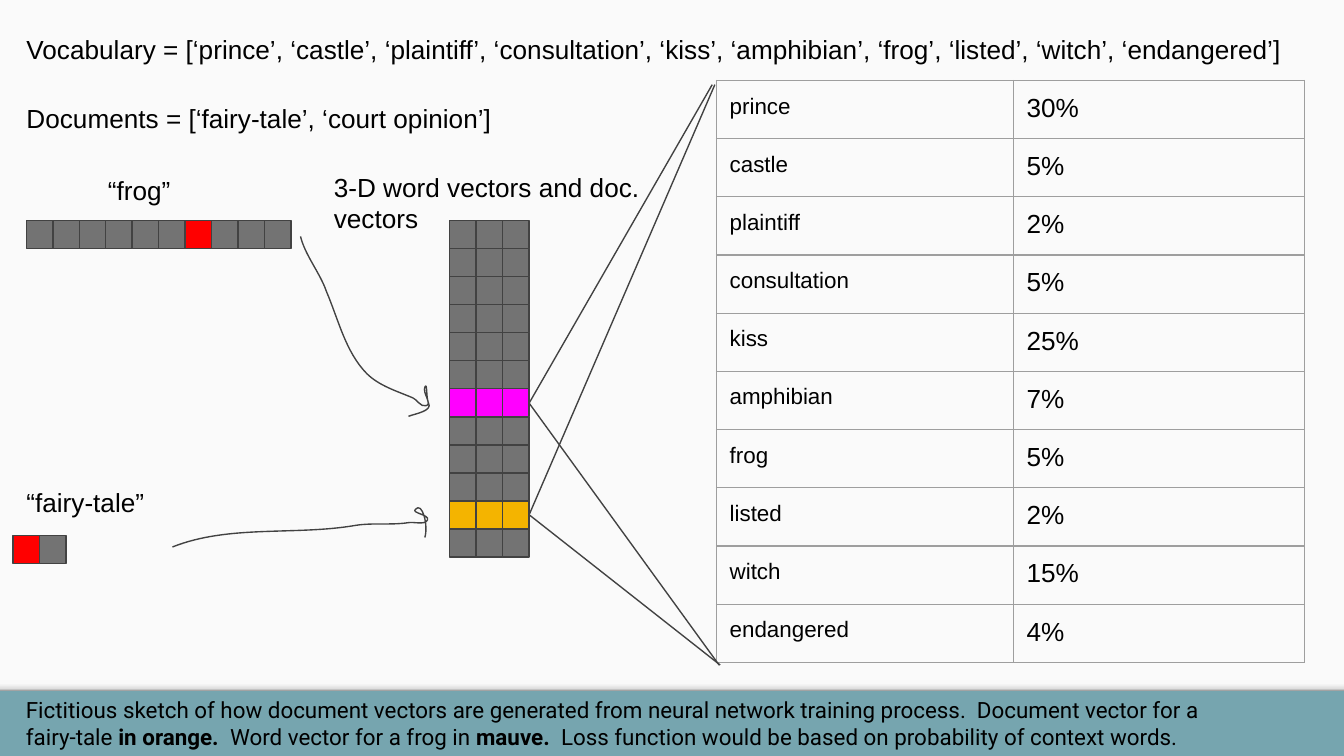
from copy import deepcopy
from dataclasses import dataclass
from lxml.etree import SubElement
from pptx import Presentation
from pptx.dml.color import RGBColor
from pptx.enum.shapes import MSO_CONNECTOR, MSO_SHAPE
from pptx.enum.text import MSO_ANCHOR, MSO_AUTO_SIZE
from pptx.oxml.ns import qn
from pptx.util import Cm, Pt


@dataclass(frozen=True)
class Theme:
    back: str = "76A5AF"
    panel: str = "FAFAFA"
    ink: str = "000000"
    edge: str = "424242"
    rule: str = "9E9E9E"
    grey: str = "737373"
    red: str = "FF0000"
    mauve: str = "FF00FF"
    gold: str = "F4B400"
    sans: str = "Arial"
    note: str = "Roboto"
    big: int = 14
    small: int = 12
    thin: float = 0.75


theme = Theme()
color = RGBColor.from_string


def style(item, **form):
    for key, val in form.items():
        setattr(item, key, val)


def block(x, y, w, h, fill, edge=None):
    rect = slide.shapes.add_shape(MSO_SHAPE.RECTANGLE, Cm(x), Cm(y), Cm(w), Cm(h))
    rect.shadow.inherit = False
    rect.fill.solid()
    rect.fill.fore_color.rgb = color(fill)
    if edge:
        rect.line.color.rgb = color(edge)
        rect.line.width = Pt(theme.thin)
    else:
        rect.line.fill.background()
    return rect


deck = Presentation()
style(deck, slide_width=Cm(25.4), slide_height=Cm(14.29))
slide = deck.slides.add_slide(deck.slide_layouts[1])
slide.background.fill.solid()
slide.background.fill.fore_color.rgb = color(theme.back)
title = slide.shapes.title
title._element.getparent().remove(title._element)
inset = dict.fromkeys(("margin_left", "margin_right", "margin_top", "margin_bottom"), Cm(0.25))

# Light panel with a shaded lower edge
block(0, 0, 25.4, 13.06, theme.panel)
shade = block(0, 12.85, 25.4, 0.21, theme.panel)
shade.fill.gradient()
shade.fill.gradient_angle = 270
stops = shade._element.spPr.find(".//" + qn("a:gsLst"))
for _ in range(2):
    stops.append(deepcopy(stops[0]))
tones = [(0, "F9F9F9"), (0.36, "F9F9F9"), (0.8, "DEDEDE"), (1, "999999")]
for stop, (spot, tone) in zip(shade.fill.gradient_stops, tones):
    stop.position = spot
    stop.color.rgb = color(tone)

# Caption, brought in front of the panel
body = slide.placeholders[1]
body._element.getparent().append(body._element)
style(body, left=Cm(0.24), top=Cm(13.05), width=Cm(23.3), height=Cm(1.24))
style(body.text_frame, vertical_anchor=MSO_ANCHOR.MIDDLE, word_wrap=True,
      auto_size=MSO_AUTO_SIZE.NONE, **inset)
para = body.text_frame.paragraphs[0]
props = para._p.get_or_add_pPr()
props.set("marL", "0")
props.set("indent", "0")
SubElement(props, qn("a:buNone"))
para.space_before = Pt(0)
words = [
    ("Fictitious sketch of how document vectors are generated from neural network "
     "training process.  Document vector for a fairy-tale ", False),
    ("in orange.  ", True),
    ("Word vector for a frog in ", False),
    ("mauve.  ", True),
    ("Loss function would be based on probability of context words.", False),
]
for text, bold in words:
    run = para.add_run()
    run.text = text
    style(run.font, name=theme.note, size=Pt(theme.small), bold=bold)
    run.font.color.rgb = color(theme.ink)

# Cell grids: left, top, columns, rows, fills by (column, row)
wide, high = 0.5, 0.53
marks = {(col, row): tone for col in range(3)
         for row, tone in ((6, theme.mauve), (10, theme.gold))}
grids = [
    (0.5, 4.17, 10, 1, {(6, 0): theme.red}),
    (0.25, 10.12, 2, 1, {(0, 0): theme.red}),
    (8.5, 4.17, 3, 12, marks),
]
for left, top, cols, rows, fills in grids:
    for row in range(rows):
        for col in range(cols):
            block(left + col * wide, top + row * high, wide, high,
                  fills.get((col, row), theme.grey), theme.edge)

# Labels
labels = [
    (0.25, 0.39, 24.26, 1.3, "Vocabulary = [‘prince’, ‘castle’, ‘plaintiff’, ‘consultation’, "
     "‘kiss’, ‘amphibian’, ‘frog’, ‘listed’, ‘witch’, ‘endangered’]"),
    (0.25, 1.68, 24.26, 1.3, "Documents = [‘fairy-tale’, ‘court opinion’]"),
    (1.79, 3.05, 1.93, 1.04, "“frog”"),
    (0.25, 8.94, 3, 1.04, "“fairy-tale”"),
    (6.06, 2.99, 7.95, 0.89, "3-D word vectors and doc. vectors"),
]
for x, y, w, h, text in labels:
    box = slide.shapes.add_textbox(Cm(x), Cm(y), Cm(w), Cm(h))
    style(box.text_frame, word_wrap=True, **inset)
    para = box.text_frame.paragraphs[0]
    para.text = text
    style(para.font, name=theme.sans, size=Pt(theme.big))
    para.font.color.rgb = color(theme.ink)

# Hand-drawn arrows: a start, then two handles and an end per curve
frog = [(5.68, 4.47),
        (5.77, 4.83), (6.05, 5.16), (6.17, 5.51),
        (6.4, 6.05), (6.53, 6.65), (6.93, 7.06),
        (7.16, 7.29), (7.49, 7.39), (7.8, 7.52),
        (7.87, 7.54), (7.95, 7.7), (8.05, 7.67),
        (8.18, 7.65), (7.98, 7.42), (8.03, 7.32),
        (8.08, 7.21), (8.05, 7.52), (8.1, 7.62),
        (8.18, 7.77), (7.85, 7.82), (7.72, 7.87)]
tale = [(3.26, 10.34),
        (4.34, 9.91), (5.59, 10.13), (6.73, 9.93),
        (7.06, 9.88), (7.39, 9.93), (7.72, 9.88),
        (7.82, 9.86), (8.03, 9.93), (8.08, 9.83),
        (8.13, 9.73), (7.77, 9.7), (7.85, 9.63),
        (7.98, 9.47), (8.1, 9.93), (8.03, 10.16)]
for path in (frog, tale):
    dots = [(Cm(x), Cm(y)) for x, y in path]
    pen = slide.shapes.build_freeform(*dots[0])
    pen.add_line_segments(dots[3::3], close=False)
    curve = pen.convert_to_shape()
    # Turn each straight step into a curve with its handles
    for i, step in enumerate(curve._element.spPr.findall(".//" + qn("a:lnTo"))):
        step.tag = qn("a:cubicBezTo")
        step.remove(step[0])
        for x, y in dots[3 * i + 1:3 * i + 4]:
            SubElement(step, qn("a:pt"), x=str(x - curve.left), y=str(y - curve.top))
    curve.shadow.inherit = False
    curve.fill.background()
    curve.line.color.rgb = color(theme.edge)
    curve.line.width = Pt(theme.thin)

# Table of word odds
odds = {"prince": 30, "castle": 5, "plaintiff": 2, "consultation": 5, "kiss": 25,
        "amphibian": 7, "frog": 5, "listed": 2, "witch": 15, "endangered": 4}
table = slide.shapes.add_table(len(odds), 2, Cm(13.54), Cm(1.52), Cm(11.12), Cm(11)).table
style(table, first_row=False, horz_banding=False)
for col, size in zip(table.columns, (5.61, 5.5)):
    col.width = Cm(size)
for row, (word, rate) in enumerate(odds.items()):
    table.rows[row].height = Cm(1.1)
    for col, (text, size) in enumerate(((word, theme.small), (f"{rate}%", theme.big))):
        cell = table.cell(row, col)
        style(cell, text=text, **inset)
        font = cell.text_frame.paragraphs[0].runs[0].font
        style(font, name=theme.sans, size=Pt(size))
        font.color.rgb = color(theme.ink)
        props = cell._tc.get_or_add_tcPr()
        for side in ("lnL", "lnR", "lnT", "lnB"):
            line = SubElement(props, qn(f"a:{side}"), w=str(Pt(theme.thin)))
            SubElement(SubElement(line, qn("a:solidFill")), qn("a:srgbClr"), val=theme.rule)
        cell.fill.background()

# Lines from the marked rows to the table corners
rays = [(7.62, 13.46, 1.6), (7.62, 13.59, 12.57), (9.73, 13.51, 1.6), (9.73, 13.61, 12.57)]
for start, x, y in rays:
    ray = slide.shapes.add_connector(MSO_CONNECTOR.STRAIGHT, Cm(10), Cm(start), Cm(x), Cm(y))
    ray.line.color.rgb = color(theme.edge)
    ray.line.width = Pt(theme.thin)
    SubElement(ray._element.spPr, qn("a:effectLst"))

deck.save("out.pptx")
